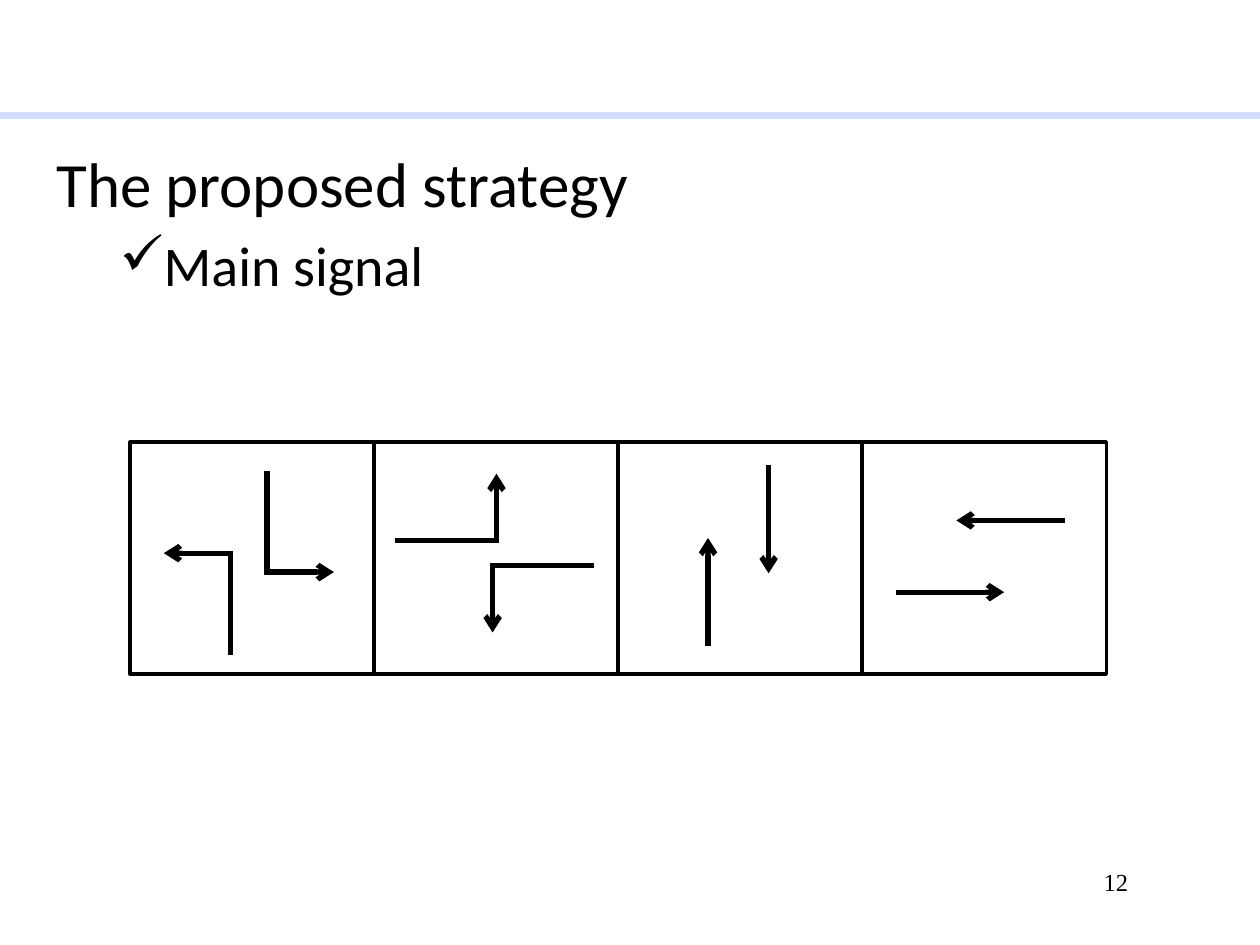
from itertools import pairwise

from lxml.etree import SubElement
from pptx import Presentation
from pptx.dml.color import RGBColor
from pptx.enum.shapes import MSO_CONNECTOR as Connector, MSO_SHAPE as Shape
from pptx.oxml.ns import qn
from pptx.util import Pt


def color(hex_value):
    return RGBColor.from_string(hex_value)


class SlideBuilder:
    """Holds the style and the slide being drawn."""

    ink = "000000"
    rule_color = "D4DEFF"

    def __init__(self, page):
        self.page = page

    def text(self, left, top, width, height, items):
        box = self.page.shapes.add_textbox(Pt(left), Pt(top), Pt(width), Pt(height))
        frame = box.text_frame
        frame.word_wrap = True
        for index, (words, font, size, bullet) in enumerate(items):
            para = frame.paragraphs[0] if index == 0 else frame.add_paragraph()
            if bullet:
                self.bullet(para, bullet)
            if index:
                para.space_before = Pt(6)
            span = para.add_run()
            span.text = words
            for name, value in {"name": font, "size": Pt(size)}.items():
                setattr(span.font, name, value)
            span.font.color.rgb = color(self.ink)

    def bullet(self, para, symbol):
        para.level = 1
        props = para._p.get_or_add_pPr()
        props.set("marL", str(Pt(58.5)))
        props.set("indent", str(Pt(-22.5)))
        SubElement(props, qn("a:buChar")).set("char", symbol)

    def frame(self, left, top, width, height):
        shape = self.page.shapes.add_shape(
            Shape.RECTANGLE, Pt(left), Pt(top), Pt(width), Pt(height))
        shape.shadow.inherit = False
        shape.fill.background()
        shape.line.color.rgb = color(self.ink)
        shape.line.width = Pt(2)

    def line(self, start, end, hex_value=ink, weight=3, arrow=False, cap="flat"):
        ends = [Pt(value) for value in (*start, *end)]
        connector = self.page.shapes.add_connector(Connector.STRAIGHT, *ends)
        connector.line.color.rgb = color(hex_value)
        connector.line.width = Pt(weight)
        outline = connector.line._get_or_add_ln()
        outline.set("cap", cap)
        if arrow:
            SubElement(outline, qn("a:tailEnd")).set("type", "arrow")
        SubElement(connector._element.spPr, qn("a:effectLst"))

    def movement(self, *points):
        """Traffic path through the points, with an arrow on the last leg."""
        legs = list(pairwise(points))
        for leg in legs[:-1]:
            self.line(*leg, cap="sq")  # square cap closes the corner
        self.line(*legs[-1], arrow=True)


def main():
    deck = Presentation()
    deck.slide_width, deck.slide_height = Pt(720), Pt(540)
    builder = SlideBuilder(deck.slides.add_slide(deck.slide_layouts[6]))

    # Header rule and page number
    builder.line((0, 66), (720, 66), builder.rule_color, 3.5)
    builder.text(623.5, 492, 76, 37, [("12", "Times New Roman", 14, None)])

    # Heading and sub-point
    builder.text(25.2, 79, 646.5, 385, [
        ("The proposed strategy", "Calibri", 36, None),
        ("Main signal", "Calibri", 32, "✓"),
    ])

    # Four signal phases
    left, top, width, height = 74.2, 252.7, 139.5, 132.4
    for phase in range(4):
        builder.frame(left + phase * width, top, width, height)

    # Permitted movements, phase by phase
    movements = [
        [(131.8, 373), (131.8, 316.1), (93.6, 316.1)],
        [(152.6, 270.5), (152.6, 326.9), (190.8, 326.9)],
        [(227.3, 308.9), (283.7, 308.9), (283.7, 270.7)],
        [(337.8, 323.3), (281.5, 323.3), (281.5, 361.4)],
        [(404.6, 369.4), (404.6, 307.4)],
        [(439.2, 265.7), (439.2, 327.6)],
        [(608.4, 297.4), (546.5, 297.4)],
        [(511.9, 338.4), (573.8, 338.4)],
    ]
    for points in movements:
        builder.movement(*points)

    deck.save("out.pptx")


if __name__ == "__main__":
    main()
